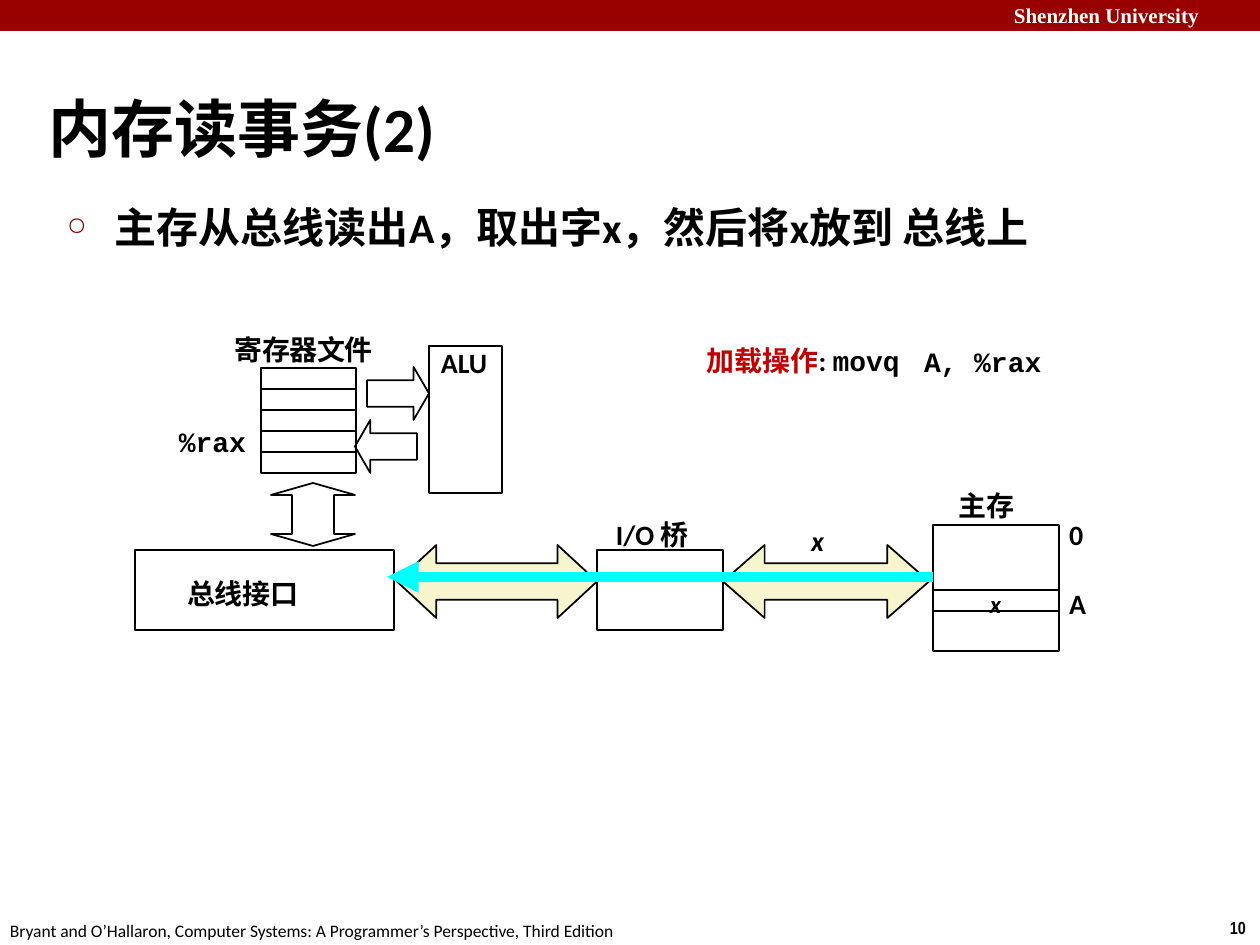
from dataclasses import dataclass

from lxml import etree
from pptx import Presentation
from pptx import util as u
from pptx.dml.color import RGBColor
from pptx.enum import shapes, text
from pptx.oxml.ns import qn


@dataclass(frozen=True)
class Theme:
    ink: str = "000000"
    paper: str = "FFFFFF"
    banner: str = "990000"
    accent: str = "C00000"
    bus: str = "F7F5CD"
    signal: str = "00FFFF"
    body: str = "Calibri"
    code: str = "Courier New"
    serif: str = "Times New Roman"
    narrow: str = "Arial Narrow"
    title_size: int = 36
    bullet_size: int = 24
    label_size: int = 16
    word_size: int = 14
    header_size: int = 12
    footer_size: int = 10


THEME = Theme()
SHAPE = shapes.MSO_SHAPE
PX_PER_INCH = 126


def px(length):
    return u.Emu(round(length * 914400 / PX_PER_INCH))


def style(run, size=THEME.label_size, font=THEME.body, color=THEME.ink,
          bold=True, italic=False, tracking=0):
    run.font.size = u.Pt(size)
    run.font.name = font
    run.font.bold = bold
    run.font.italic = italic
    run.font.color.rgb = RGBColor.from_string(color)
    if tracking:
        run.font._element.set("spc", str(tracking))


def label(slide, box, words, wrap=False, inset=(1, 0, 0, 0), **look):
    area = slide.shapes.add_textbox(*map(px, box))
    frame = area.text_frame
    frame.word_wrap = wrap
    (frame.margin_left, frame.margin_top,
     frame.margin_right, frame.margin_bottom) = map(px, inset)
    frame.text = words
    style(frame.paragraphs[0].runs[0], **look)
    return frame


def paint(part, fill=None, outline=True):
    part.shadow.inherit = False
    if fill:
        part.fill.solid()
        part.fill.fore_color.rgb = RGBColor.from_string(fill)
    else:
        part.fill.background()
    if outline:
        part.line.color.rgb = RGBColor.from_string(THEME.ink)
        part.line.width = u.Pt(1)
    else:
        part.line.fill.background()


def block(slide, box, kind=SHAPE.RECTANGLE, fill=None, outline=True, adjust=()):
    part = slide.shapes.add_shape(kind, *map(px, box))
    paint(part, fill, outline)
    for index, ratio in enumerate(adjust):
        part.adjustments[index] = ratio
    return part


def up_down_arrow(slide, x, y, w, h, head):
    shaft_left, shaft_right = x + w // 4, x + w - w // 4
    upper, lower = y + head, y + h - head
    tip = x + w // 2
    corners = [(tip, y), (x + w, upper), (shaft_right, upper),
               (shaft_right, lower), (x + w, lower), (tip, y + h),
               (x, lower), (shaft_left, lower), (shaft_left, upper), (x, upper)]
    points = [(px(left), px(top)) for left, top in corners]
    builder = slide.shapes.build_freeform(*points[0])
    builder.add_line_segments(points[1:], close=True)
    paint(builder.convert_to_shape())


def page_frame(slide, x, y, w, h):
    block(slide, (x, y, w, 31), fill=THEME.banner, outline=False)
    inset = (13, 6, 13, 6)
    label(slide, (x + 1001, y - 3, 267, 38), "Shenzhen University", inset=inset,
          size=THEME.header_size, font=THEME.serif, color=THEME.paper)
    label(slide, (x + w - 43, y + h - 34, 43, 34), "10", inset=inset,
          size=THEME.footer_size, font=THEME.narrow)
    label(slide, (x - 3, y + h - 31, 641, 34),
          "Bryant and O’Hallaron, Computer Systems: A Programmer’s Perspective, Third Edition",
          inset=inset, size=THEME.footer_size, bold=False)


def heading(slide, x, y, w, h):
    title = label(slide, (x, y, w, h), "内存读事务(2)", wrap=True,
                  inset=(0, 30, 0, 0), size=THEME.title_size)
    title.vertical_anchor = text.MSO_ANCHOR.MIDDLE


def statement(slide, x, y, w, h):
    bullet = label(slide, (x, y, w, h), "主存从总线读出A，取出字x，然后将x放到 总线上",
                   wrap=True, inset=(0, 0, 0, 0), size=THEME.bullet_size)
    props = bullet.paragraphs[0]._p.get_or_add_pPr()
    props.set("marL", str(px(49)))
    props.set("indent", str(-px(48)))
    color = etree.SubElement(props, qn("a:buClr"))
    etree.SubElement(color, qn("a:srgbClr"), val=THEME.banner)
    etree.SubElement(props, qn("a:buSzPct"), val="60000")
    etree.SubElement(props, qn("a:buChar"), char="○")


def instruction(slide, x, y, w, h):
    load = label(slide, (x, y, 261, h), "加载操作", color=THEME.accent)
    for words, font in ((": ", THEME.body), ("movq", THEME.code)):
        run = load.paragraphs[0].add_run()
        run.text = words
        style(run, font=font)
    label(slide, (x + 217, y + 1, w - 217, h), "A, %rax", font=THEME.code)


def processor(slide, x, y, w, h):
    register_x, register_y, row_height = x + 126, y + 35, 21
    for row in range(5):
        block(slide, (register_x, register_y + row * row_height, 95, row_height))
    label(slide, (x + 99, y, 154, 34), "寄存器文件", tracking=-30)
    label(slide, (x + 43, y + 92, 71, 32), "%rax", font=THEME.code)

    block(slide, (x + 232, y + 34, 62, 53), SHAPE.RIGHT_ARROW, adjust=(0.5, 0.29))
    block(slide, (x + 220, y + 87, 62, 53), SHAPE.LEFT_ARROW, adjust=(0.5, 0.29))
    up_down_arrow(slide, x + 136, y + 150, 84, 63, head=12)

    alu = block(slide, (x + 294, y + 13, 73, 147)).text_frame
    alu.margin_left, alu.margin_right = px(12), 0
    alu.margin_top = alu.margin_bottom = 0
    alu.vertical_anchor = text.MSO_ANCHOR.TOP
    alu.text = "ALU"
    alu.paragraphs[0].alignment = text.PP_ALIGN.LEFT
    style(alu.paragraphs[0].runs[0])

    block(slide, (x, y + h - 80, 259, 80))
    label(slide, (x + 51, y + h - 53, 155, 34), "总线接口")


def memory(slide, x, y, w, h):
    block(slide, (x, y + 36, w, h - 36))
    block(slide, (x, y + 101, w, 21))
    label(slide, (x + 25, y, 77, 34), "主存")
    label(slide, (x + 56, y + 100, 15, 28), "x", size=THEME.word_size, italic=True)
    for address, top in (("0", 29), ("A", 98)):
        label(slide, (x + w + 9, y + top, 20, 32), address)


def buses(slide, x, y, w, h):
    arrow_top, arrow_height = y + 28, 73
    for left, width, head in ((10, 200, 0.54), (336, 206, 0.57)):
        block(slide, (x + left, arrow_top, width, arrow_height),
              SHAPE.LEFT_RIGHT_ARROW, fill=THEME.bus, adjust=(0.5, head))
    block(slide, (x + 210, y + h - 80, 126, 80))
    label(slide, (x + 228, y + 1, 91, 34), "I/O 桥")
    label(slide, (x + 423, y + 7, 16, 32), "x", italic=True)

    signal_y = y + 60
    signal = slide.shapes.add_connector(
        shapes.MSO_CONNECTOR.STRAIGHT,
        px(x + w), px(signal_y), px(x), px(signal_y))
    signal.line.color.rgb = RGBColor.from_string(THEME.signal)
    signal.line.width = u.Pt(6)
    etree.SubElement(signal.line._get_or_add_ln(), qn("a:tailEnd"),
                     type="triangle", w="med", len="med")
    etree.SubElement(signal._element.spPr, qn("a:effectLst"))


def main():
    deck = Presentation()
    deck.slide_width, deck.slide_height = px(1260), px(945)
    slide = deck.slides.add_slide(deck.slide_layouts[6])
    page_frame(slide, 0, 0, 1260, 945)
    heading(slide, 49, 59, 1046, 107)
    statement(slide, 66, 202, 1003, 102)
    instruction(slide, 706, 344, 339, 34)
    processor(slide, 135, 333, 367, 297)
    memory(slide, 933, 489, 126, 162)
    buses(slide, 387, 517, 546, 113)
    deck.save("out.pptx")


if __name__ == "__main__":
    main()
